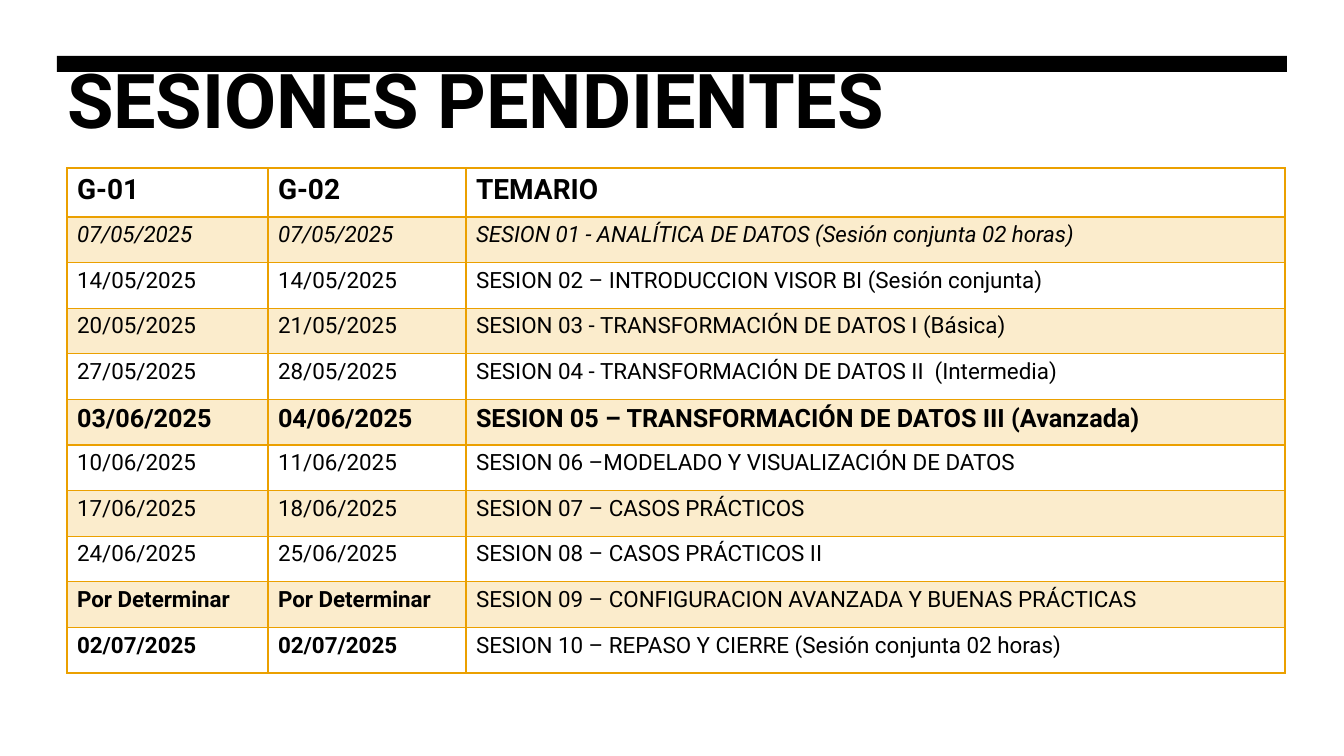
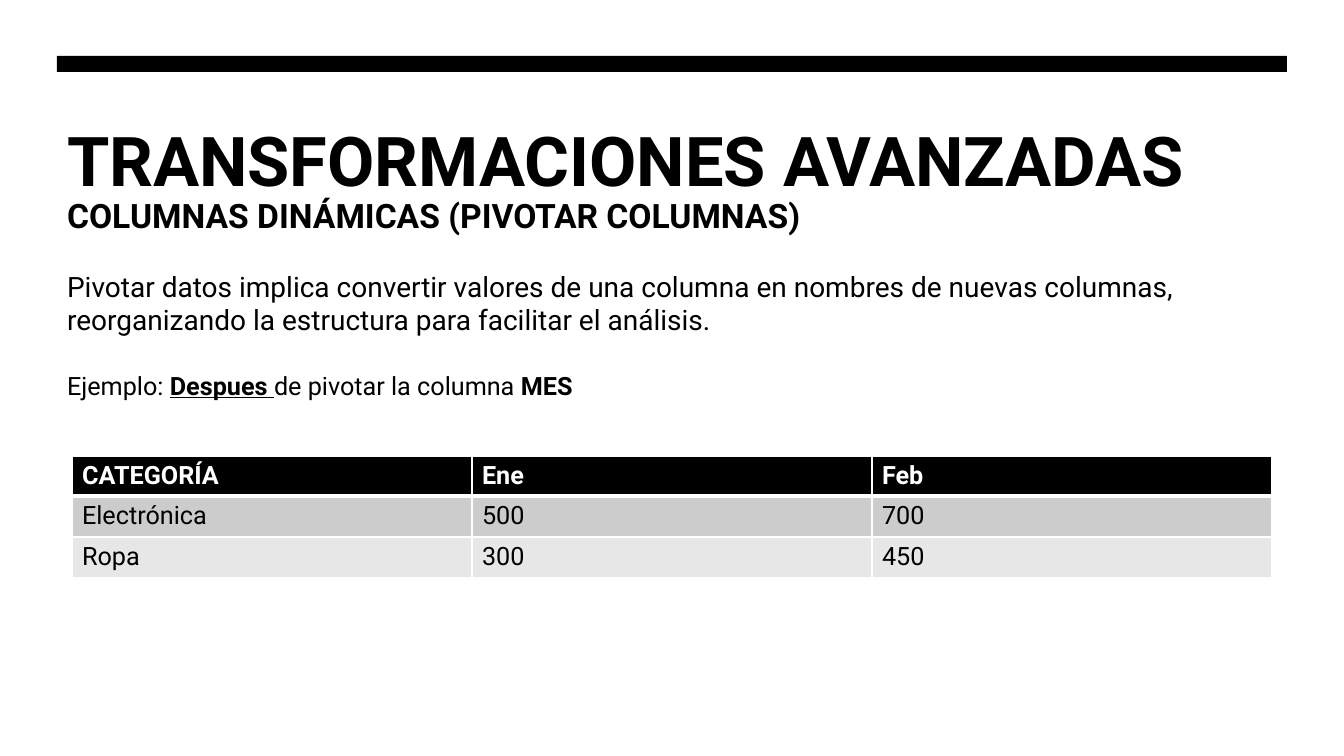
from lxml.etree import SubElement
from pptx import Presentation
from pptx.dml.color import RGBColor
from pptx.enum.shapes import MSO_SHAPE
from pptx.enum.text import MSO_ANCHOR, MSO_AUTO_SIZE, PP_ALIGN
from pptx.oxml import parse_xml
from pptx.oxml.ns import nsdecls, qn
from pptx.util import Pt

PX = 12192000 / 1344
FONT = "Roboto"
COLORS = {
    "black": "000000",
    "white": "FFFFFF",
    "gold": "EBA000",
    "cream": "FBECCC",
    "gray": "CCCCCC",
    "light": "E7E7E7",
}
TITLE_ONLY, TITLE_AND_CONTENT = 5, 1

SCHEDULE_LOOK = {
    "header": None, "header_text": "black", "header_size": 20, "size": 16,
    "bands": ("cream", None), "border": "gold", "header_line": 2,
}
PIVOT_LOOK = {
    "header": "black", "header_text": "white", "header_size": 18, "size": 18,
    "bands": ("gray", "light"), "border": "white", "header_line": 3,
}

SCHEDULE = [
    ("G-01", "G-02", "TEMARIO"),
    ("07/05/2025", "07/05/2025", "SESION 01 - ANALÍTICA DE DATOS (Sesión conjunta 02 horas)"),
    ("14/05/2025", "14/05/2025", "SESION 02 – INTRODUCCION VISOR BI (Sesión conjunta)"),
    ("20/05/2025", "21/05/2025", "SESION 03 - TRANSFORMACIÓN DE DATOS I (Básica)"),
    ("27/05/2025", "28/05/2025", "SESION 04 - TRANSFORMACIÓN DE DATOS II  (Intermedia)"),
    ("03/06/2025", "04/06/2025", "SESION 05 – TRANSFORMACIÓN DE DATOS III (Avanzada)"),
    ("10/06/2025", "11/06/2025", "SESION 06 –MODELADO Y VISUALIZACIÓN DE DATOS"),
    ("17/06/2025", "18/06/2025", "SESION 07 – CASOS PRÁCTICOS"),
    ("24/06/2025", "25/06/2025", "SESION 08 – CASOS PRÁCTICOS II"),
    ("Por Determinar", "Por Determinar", "SESION 09 – CONFIGURACION AVANZADA Y BUENAS PRÁCTICAS"),
    ("02/07/2025", "02/07/2025", "SESION 10 – REPASO Y CIERRE (Sesión conjunta 02 horas)"),
]
PIVOT = [
    ("CATEGORÍA", "Ene", "Feb"),
    ("Electrónica", "500", "700"),
    ("Ropa", "300", "450"),
]
BODY = [
    (24, [("COLUMNAS DINÁMICAS (PIVOTAR COLUMNAS)", {"bold": True})]),
    (20, [("Pivotar datos implica convertir valores de una columna en nombres de nuevas "
           "columnas, reorganizando la estructura para facilitar el análisis.", {})]),
    (18, [("Ejemplo: ", {}),
          ("Despues ", {"bold": True, "underline": True}),
          ("de pivotar la columna ", {}),
          ("MES", {"bold": True})]),
]


def px(n):
    return round(n * PX)


def rgb(name):
    return RGBColor.from_string(COLORS[name])


def place(sp, left, top, width, height):
    sp.left, sp.top, sp.width, sp.height = map(px, (left, top, width, height))


def format_run(r, size, color="black", bold=False, italic=False, underline=False):
    font = r.font
    font.name, font.size = FONT, Pt(size)
    font.bold, font.italic, font.underline = bold, italic, underline
    font.color.rgb = rgb(color)


def add_master_bar(prs, s):
    bar = s.shapes.add_shape(MSO_SHAPE.RECTANGLE, 0, 0, 0, 0)
    place(bar, 57, 56, 1230, 16)
    bar.shadow.inherit = False
    bar.fill.solid()
    bar.fill.fore_color.rgb = rgb("black")
    bar.line.fill.background()
    prs.slide_master.shapes.element.insert(2, bar.element)


def set_title(s, text, box, size, spacing, anchor, margin_top=5):
    sp = s.shapes.title
    place(sp, *box)
    tf = sp.text_frame
    tf.text = text
    tf.auto_size = MSO_AUTO_SIZE.NONE
    tf.vertical_anchor = anchor
    tf.margin_top = px(margin_top)
    p = tf.paragraphs[0]
    p.alignment = PP_ALIGN.LEFT
    p.line_spacing = spacing
    format_run(p.runs[0], size, bold=True)


def set_body(s, paragraphs, box):
    sp = s.placeholders[1]
    place(sp, *box)
    tf = sp.text_frame
    tf.auto_size = MSO_AUTO_SIZE.NONE
    for i, (size, runs) in enumerate(paragraphs):
        p = tf.add_paragraph() if i else tf.paragraphs[0]
        p.space_before = Pt(24 if i else 0)
        pPr = p._p.get_or_add_pPr()
        pPr.set("marL", "0")
        pPr.set("indent", "0")
        SubElement(pPr, qn("a:buNone"))
        for text, style in runs:
            r = p.add_run()
            r.text = text
            format_run(r, size, **style)


def set_borders(cell, color, top, bottom):
    widths = {"lnL": 1, "lnR": 1, "lnT": top, "lnB": bottom}
    tcPr = cell._tc.get_or_add_tcPr()
    for i, (tag, width) in enumerate(widths.items()):
        tcPr.insert(i, parse_xml(
            f'<a:{tag} {nsdecls("a")} w="{Pt(width)}"><a:solidFill>'
            f'<a:srgbClr val="{COLORS[color]}"/></a:solidFill></a:{tag}>'))


def fill_cell(cell, text, fill, size, color, style):
    cell.text = text
    format_run(cell.text_frame.paragraphs[0].runs[0], size, color, **style)
    if fill:
        cell.fill.solid()
        cell.fill.fore_color.rgb = rgb(fill)
    else:
        cell.fill.background()


def add_table(s, rows, left, top, widths, height, header_height, look, styles=None):
    styles = styles or {}
    table = s.shapes.add_table(len(rows), len(widths), px(left), px(top),
                               px(sum(widths)), px(height)).table
    table.first_row = table.horz_banding = False
    for column, width in zip(table.columns, widths):
        column.width = px(width)
    for i, values in enumerate(rows):
        header = i == 0
        table.rows[i].height = px(header_height if header
                                  else (height - header_height) / (len(rows) - 1))
        fill = look["header"] if header else look["bands"][(i - 1) % 2]
        color = look["header_text"] if header else "black"
        for j, text in enumerate(values):
            style = {"size": look["header_size" if header else "size"], "bold": header}
            style.update(styles.get((i, j), {}))
            size = style.pop("size")
            cell = table.cell(i, j)
            fill_cell(cell, text, fill, size, color, style)
            set_borders(cell, look["border"],
                        look["header_line"] if i == 1 else 1,
                        look["header_line"] if header else 1)


def schedule_styles():
    styles = {}
    for j in range(3):
        styles[1, j] = {"italic": True}
        styles[5, j] = {"size": 18, "bold": True}
    for i in (9, 10):
        for j in range(2):
            styles[i, j] = {"bold": True}
    return styles


def build_schedule(prs):
    s = prs.slides.add_slide(prs.slide_layouts[TITLE_ONLY])
    add_master_bar(prs, s)
    set_title(s, "SESIONES PENDIENTES", (57, 55, 1231, 98), 54, 0.9, MSO_ANCHOR.MIDDLE)
    add_table(s, SCHEDULE, 67, 168, (201, 198, 819), 505, 49,
              SCHEDULE_LOOK, schedule_styles())


def build_pivot(prs):
    s = prs.slides.add_slide(prs.slide_layouts[TITLE_AND_CONTENT])
    set_title(s, "TRANSFORMACIONES AVANZADAS", (57, 108, 1230, 82), 49, 1.0,
              MSO_ANCHOR.TOP, margin_top=10)
    set_body(s, BODY, (57, 190, 1230, 489))
    add_table(s, PIVOT, 72, 456, (400, 400, 400), 122, 40, PIVOT_LOOK)


def main():
    prs = Presentation()
    prs.slide_width, prs.slide_height = px(1344), px(756)
    build_schedule(prs)
    build_pivot(prs)
    prs.save("out.pptx")


if __name__ == "__main__":
    main()
